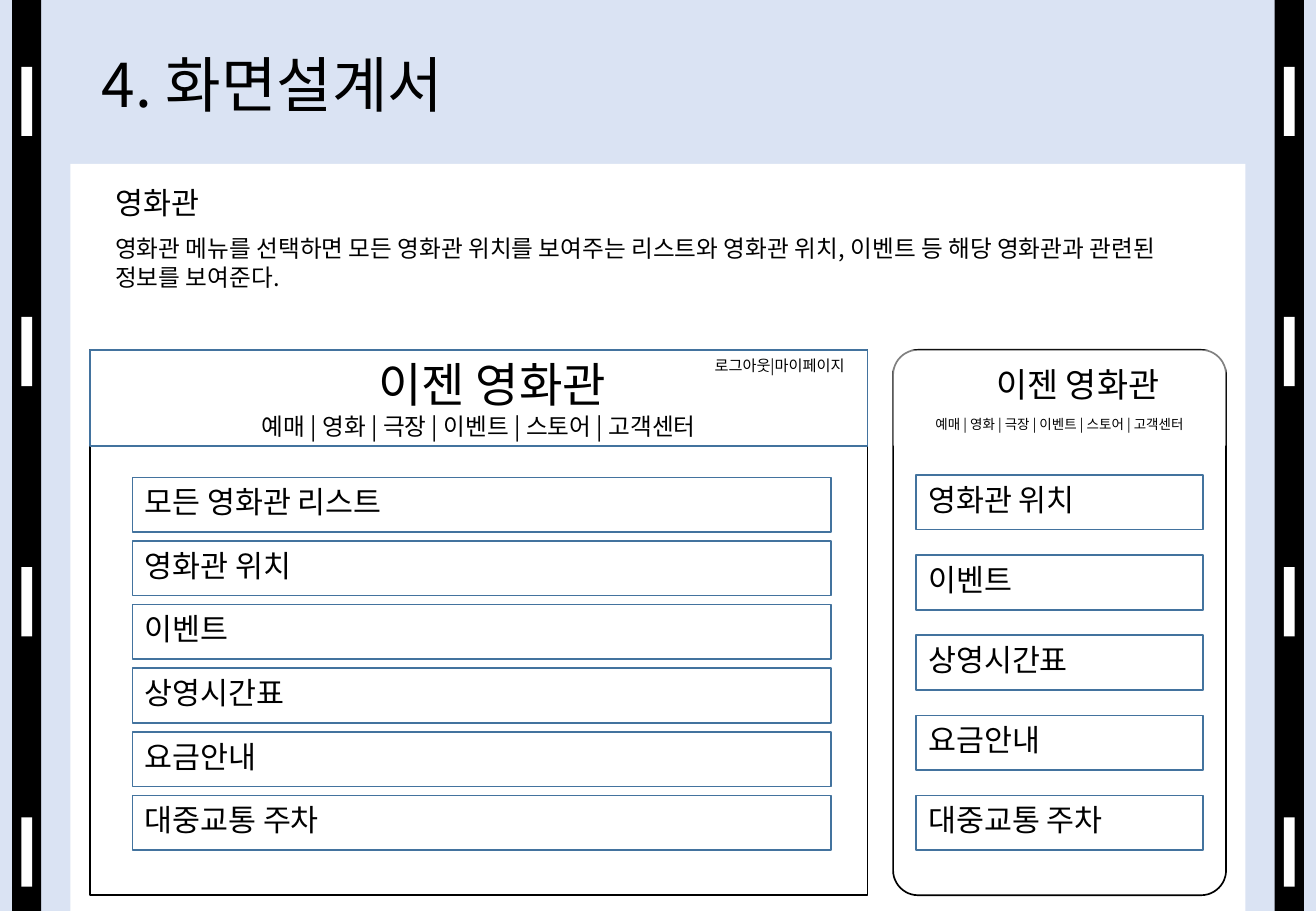
from lxml import etree
from pptx import Presentation
from pptx.dml.color import RGBColor
from pptx.enum.shapes import MSO_SHAPE as Shape
from pptx.enum.text import MSO_ANCHOR as Anchor, PP_ALIGN as Align
from pptx.oxml.ns import qn
from pptx.util import Inches, Pt

# Content
TITLE = "4. 화면설계서"
SECTION = "영화관"
DESCRIPTION = (
    "영화관 메뉴를 선택하면 모든 영화관 위치를 보여주는 리스트와 영화관 위치, "
    "이벤트 등 해당 영화관과 관련된 정보를 보여준다."
)
SITE_NAME = "이젠 영화관"
MENU = " | ".join(["예매", "영화", "극장", "이벤트", "스토어", "고객센터"])
ACCOUNT_LINKS = "로그아웃|마이페이지"
MOBILE_ROWS = ["영화관 위치", "이벤트", "상영시간표", "요금안내", "대중교통 주차"]
DESKTOP_ROWS = ["모든 영화관 리스트"] + MOBILE_ROWS

FONT = "Noto Sans CJK KR"
COLORS = {"sky": "DAE3F3", "black": "000000", "white": "FFFFFF", "blue": "43739E"}

# Screens: frame and rows share top and height
SCREEN_TOP, SCREEN_HEIGHT, HEADER_HEIGHT = 2.88, 4.49, 0.79
ROW_HEIGHT, LAST_ROW_TOP = 0.45, 6.55
SCREENS = [
    dict(left=0.74, width=6.4, corner=0, rows=DESKTOP_ROWS, row_left=1.09,
         row_width=5.75, pitch=0.524, name_size=28, menu_size=14,
         name_indent=0.22, menu_gap=0, header_line="blue"),
    dict(left=7.35, width=2.74, corner=0.075, rows=MOBILE_ROWS, row_left=7.54,
         row_width=2.36, pitch=0.66, name_size=20, menu_size=8,
         name_indent=0.3, menu_gap=7, header_line=None),
]

deck = Presentation()
deck.slide_width, deck.slide_height = Inches(10.83), Inches(7.5)
page = deck.slides.add_slide(deck.slide_layouts[6])


def rgb(name):
    return RGBColor.from_string(COLORS[name])


def add_box(left, top, width, height, fill=None, line=None, corner=None, alpha=None):
    kind = Shape.RECTANGLE if corner is None else Shape.ROUNDED_RECTANGLE
    box = page.shapes.add_shape(
        kind, Inches(left), Inches(top), Inches(width), Inches(height))
    box.shadow.inherit = False
    if corner is not None:
        box.adjustments[0] = corner
    if fill:
        box.fill.solid()
        box.fill.fore_color.rgb = rgb(fill)
    else:
        box.fill.background()
    if alpha is not None:
        color = box.fill._xPr.find(f"{qn('a:solidFill')}/{qn('a:srgbClr')}")
        etree.SubElement(color, qn("a:alpha")).set("val", str(alpha * 1000))
    if line:
        box.line.color.rgb = rgb(line)
        box.line.width = Pt(1)
    else:
        box.line.fill.background()
    return box


def add_label(left, top, width, height):
    return page.shapes.add_textbox(
        Inches(left), Inches(top), Inches(width), Inches(height))


def write(box, text, size, align=Align.LEFT, anchor=Anchor.TOP, first=True,
          before=0, spacing=None, indent=0):
    frame = box.text_frame
    frame.word_wrap = True
    frame.vertical_anchor = anchor
    para = frame.paragraphs[0] if first else frame.add_paragraph()
    para.alignment = align
    if before:
        para.space_before = Pt(before)
    if spacing:
        para.line_spacing = spacing
    if indent:
        para._p.get_or_add_pPr().set("marL", str(Inches(indent)))
    span = para.add_run()
    span.text = text
    span.font.size = Pt(size)
    span.font.name = FONT
    span.font.color.rgb = rgb("black")
    east_asian = etree.SubElement(span.font._element, qn("a:ea"))
    east_asian.set("typeface", FONT)


# Background and film strips
page.background.fill.solid()
page.background.fill.fore_color.rgb = rgb("sky")
for strip_left in (0.1, 10.49):
    add_box(strip_left, 0, 0.24, 7.5, fill="black")
    for hole in range(4):
        add_box(strip_left + 0.075, 0.55 + hole * 2.06, 0.09, 0.57, fill="white")

# Paper and headings
add_box(0.58, 1.35, 9.67, 6.15, fill="white")
write(add_label(0.74, 0, 9.34, 1.45), TITLE, 35.8, anchor=Anchor.MIDDLE, spacing=0.9)
write(add_label(0.85, 1.47, 3.94, 0.4), SECTION, 18)
write(add_label(0.85, 1.88, 9.24, 0.57), DESCRIPTION, 14)

# Desktop and mobile screens
for screen in SCREENS:
    left, width, rows = screen["left"], screen["width"], screen["rows"]
    add_box(left, SCREEN_TOP, width, SCREEN_HEIGHT, line="black",
            corner=screen["corner"])
    first_top = LAST_ROW_TOP - (len(rows) - 1) * screen["pitch"]
    for index, label in enumerate(rows):
        row = add_box(screen["row_left"], first_top + index * screen["pitch"],
                      screen["row_width"], ROW_HEIGHT, fill="white", line="blue")
        write(row, label, 18)
    header = add_box(left, SCREEN_TOP, width, HEADER_HEIGHT, fill="white",
                     line=screen["header_line"], alpha=50)
    centred = dict(align=Align.CENTER, anchor=Anchor.MIDDLE)
    write(header, SITE_NAME, screen["name_size"], indent=screen["name_indent"], **centred)
    write(header, MENU, screen["menu_size"], first=False,
          before=screen["menu_gap"], **centred)

# Account links of the desktop screen
write(add_label(5.18, 2.91, 2.47, 0.2), ACCOUNT_LINKS, 9,
      align=Align.CENTER, anchor=Anchor.MIDDLE)

deck.save("out.pptx")
